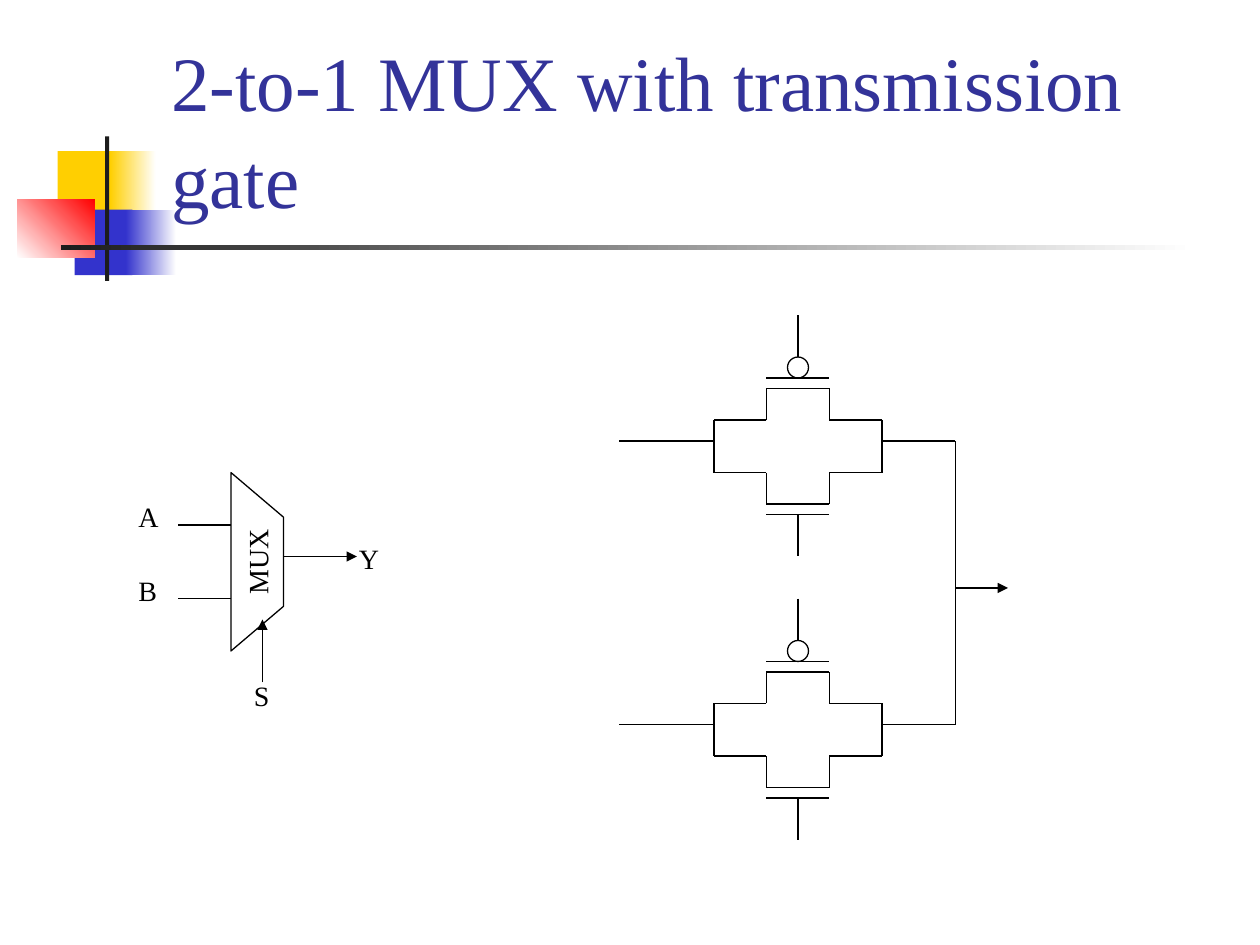
"""Build the slide on a 2-to-1 multiplexer made of transmission gates."""
from lxml.etree import SubElement
from pptx import Presentation
from pptx.dml.color import RGBColor
from pptx.enum.shapes import MSO_CONNECTOR, MSO_SHAPE
from pptx.enum.text import MSO_ANCHOR, MSO_AUTO_SIZE, PP_ALIGN
from pptx.oxml.ns import qn
from pptx.util import Pt

BLACK = RGBColor(0x00, 0x00, 0x00)
WHITE = RGBColor(0xFF, 0xFF, 0xFF)
YELLOW = RGBColor(0xFF, 0xCF, 0x01)
BLUE = RGBColor(0x33, 0x33, 0xCC)
RED = RGBColor(0xFF, 0x00, 0x00)
CHARCOAL = RGBColor(0x1C, 0x1C, 0x1C)
TITLE_BLUE = RGBColor(0x33, 0x33, 0x99)
FONT = "Times New Roman"
LINE_WIDTH = Pt(0.75)


def add_wire(group, x1, y1, x2, y2, arrow=False):
    wire = group.shapes.add_connector(
        MSO_CONNECTOR.STRAIGHT, Pt(x1), Pt(y1), Pt(x2), Pt(y2)
    )
    wire.line.color.rgb = BLACK
    wire.line.width = LINE_WIDTH
    if arrow:
        SubElement(wire.line._get_or_add_ln(), qn("a:tailEnd"), type="triangle")
    SubElement(wire._element.spPr, qn("a:effectLst"))


def style_text(shape, text, size, color):
    shape.text_frame.text = text
    font = shape.text_frame.paragraphs[0].runs[0].font
    font.name = FONT
    font.size = Pt(size)
    font.color.rgb = color


presentation = Presentation()
presentation.slide_width = Pt(720)
presentation.slide_height = Pt(540)
slide = presentation.slides.add_slide(presentation.slide_layouts[5])

decorations = [
    (33, 86.4, 34.5, 37.4, YELLOW, YELLOW, 0),
    (63, 86.4, 26, 37.4, YELLOW, WHITE, 0),
    (42.7, 119.8, 33, 37.4, BLUE, BLUE, 0),
    (72, 119.8, 28.6, 37.4, BLUE, WHITE, 0),
    (9.8, 113.8, 44.4, 33.4, WHITE, RED, 45),
    (60, 78, 2.4, 82.6, CHARCOAL, CHARCOAL, 0),
    (34.8, 140.2, 648, 2.4, CHARCOAL, WHITE, 0),
]
for left, top, width, height, start, end, angle in decorations:
    block = slide.shapes.add_shape(
        MSO_SHAPE.RECTANGLE, Pt(left), Pt(top), Pt(width), Pt(height)
    )
    block.shadow.inherit = False
    block.line.fill.background()
    if start == end:
        block.fill.solid()
        block.fill.fore_color.rgb = start
    else:
        block.fill.gradient()
        block.fill.gradient_angle = angle
        for stop, color in zip(block.fill.gradient_stops, (start, end)):
            stop.color.rgb = color

title = slide.shapes.title
title.left, title.top, title.width, title.height = Pt(90.6), Pt(16.8), Pt(613.4), Pt(115)
style_text(title, "2-to-1 MUX with transmission gate", 44, TITLE_BLUE)
title.text_frame.word_wrap = True
title.text_frame.auto_size = MSO_AUTO_SIZE.NONE
title.text_frame.vertical_anchor = MSO_ANCHOR.BOTTOM
title.text_frame.paragraphs[0].alignment = PP_ALIGN.LEFT
title.text_frame.paragraphs[0].line_spacing = 1.05
slide.shapes._spTree.append(title._element)

symbol = slide.shapes.add_group_shape()
outline = symbol.shapes.build_freeform(Pt(96), Pt(306))
outline.add_line_segments(
    [(Pt(198), Pt(306)), (Pt(172.5), Pt(336)), (Pt(121.5), Pt(336))], close=True
)
mux = outline.convert_to_shape()
mux.rotation = 270
mux.shadow.inherit = False
mux.fill.background()
mux.line.color.rgb = BLACK
mux.line.width = LINE_WIDTH
style_text(mux, "MUX", 16, BLACK)
mux.text_frame.word_wrap = False
mux.text_frame.vertical_anchor = MSO_ANCHOR.MIDDLE
mux.text_frame.paragraphs[0].alignment = PP_ALIGN.CENTER

pins = [
    ("A", 72, 282, (102, 300, 132, 300), False),
    ("B", 72, 324, (102, 342, 132, 342), False),
    ("Y", 198, 306, (162, 318, 204, 318), True),
    ("S", 138, 384, (150, 390, 150, 354), True),
]
for name, left, top, ends, arrow in pins:
    add_wire(symbol, *ends, arrow)
    label = symbol.shapes.add_textbox(Pt(left), Pt(top), Pt(25.5), Pt(26.5))
    style_text(label, name, 16, BLACK)
    label.text_frame.word_wrap = False
    label.text_frame.auto_size = MSO_AUTO_SIZE.SHAPE_TO_FIT_TEXT

circuit = slide.shapes.add_group_shape()
channel_left, channel_right, center = 438, 474, 456
node_left, node_right, output = 408, 504, 546
gate_tops = (180, 342)
for top in gate_tops:
    for plate in (36, 42, 108, 114):
        add_wire(circuit, channel_left, top + plate, channel_right, top + plate)
    for channel, node in ((channel_left, node_left), (channel_right, node_right)):
        for plate, branch in ((42, 60), (108, 90)):
            add_wire(circuit, channel, top + plate, channel, top + branch)
            add_wire(circuit, channel, top + branch, node, top + branch)
        add_wire(circuit, node, top + 60, node, top + 90)
    add_wire(circuit, center, top, center, top + 24)
    add_wire(circuit, center, top + 114, center, top + 138)
    add_wire(circuit, 354, top + 72, node_left, top + 72)
    add_wire(circuit, node_right, top + 72, output, top + 72)
    bubble = circuit.shapes.add_shape(
        MSO_SHAPE.OVAL, Pt(center - 6), Pt(top + 24), Pt(12), Pt(12)
    )
    bubble.shadow.inherit = False
    bubble.fill.background()
    bubble.line.color.rgb = BLACK
    bubble.line.width = LINE_WIDTH

add_wire(circuit, output, gate_tops[0] + 72, output, gate_tops[1] + 72)
add_wire(circuit, output, 336, 576, 336, arrow=True)

presentation.save("out.pptx")
